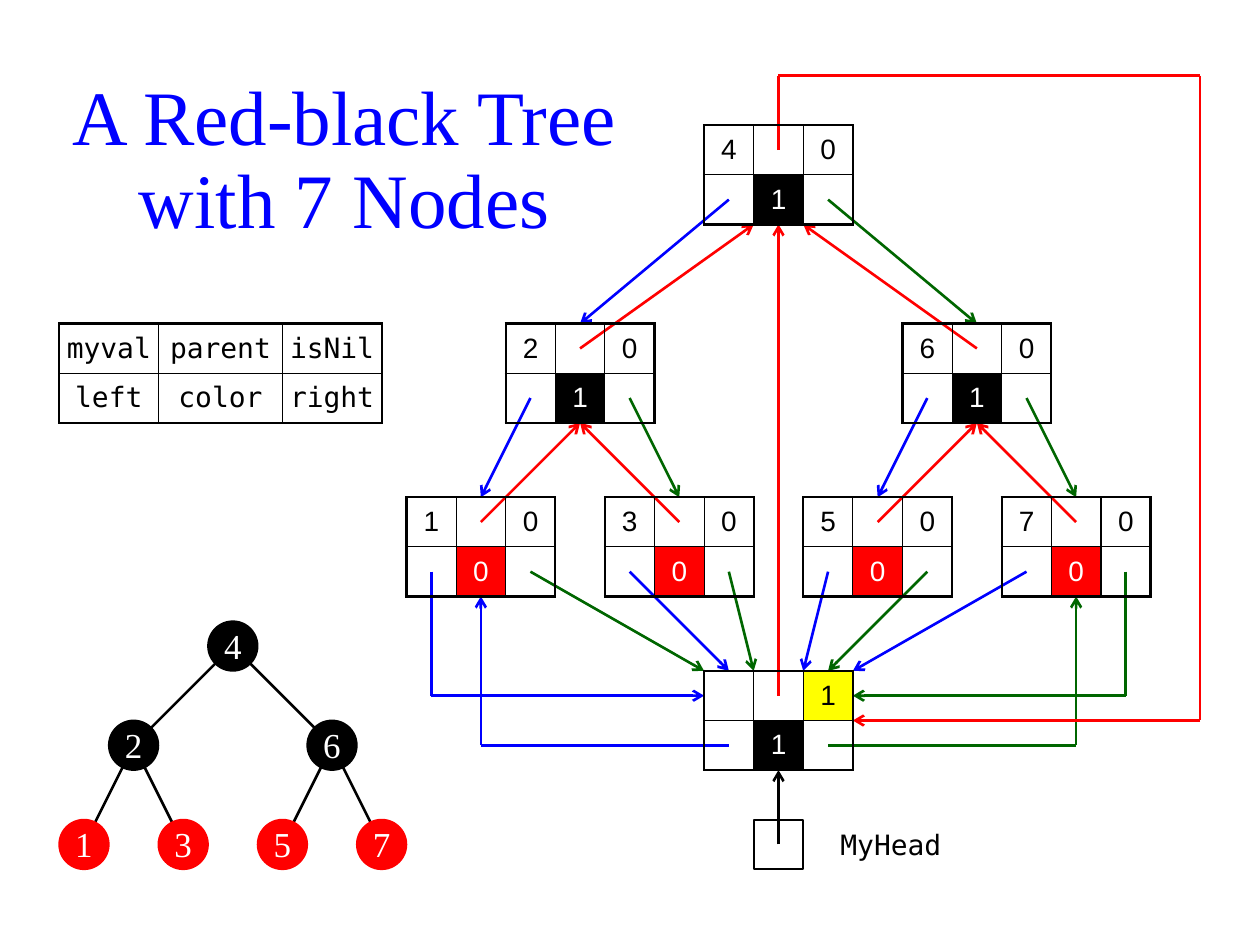
from dataclasses import dataclass
from itertools import pairwise
from typing import NamedTuple

from pptx import Presentation
from pptx.dml.color import RGBColor
from pptx.enum.shapes import MSO_CONNECTOR as Connector, MSO_SHAPE as Preset
from pptx.enum.text import MSO_ANCHOR as Anchor, MSO_AUTO_SIZE as AutoSize, PP_ALIGN as Align
from pptx.oxml.ns import qn
from pptx.oxml.xmlchemy import OxmlElement
from pptx.util import Cm, Emu, Inches, Pt


@dataclass(frozen=True)
class Theme:
    black: str = "000000"
    white: str = "FFFFFF"
    red: str = "FF0000"
    blue: str = "0000FF"
    green: str = "006600"
    yellow: str = "FFFF00"
    serif: str = "Times New Roman"
    sans: str = "Arial"
    mono: str = "DejaVu Sans Mono"
    title_size: float = 44
    circle_size: float = 20
    cell_size: float = 16
    thick: float = 1.5
    outline: float = 1
    thin: float = 0.75


class Point(NamedTuple):
    col: float
    row: float


class Node(NamedTuple):
    """A tree node: its record and its circle are placed by their top left corners."""
    value: str
    record: Point
    circle: Point
    is_red: bool = False
    children: tuple[str, ...] = ()


class Cell(NamedTuple):
    text: str = ""
    color: str = "000000"
    fill: str | None = None


THEME = Theme()
UNIT = Cm(1)
ORIGIN_X, ORIGIN_Y = Inches(0.47), Inches(0.6)

NODES = {node.value: node for node in (
    Node("4", Point(13, 1), Point(3, 11), children=("2", "6")),
    Node("2", Point(9, 5), Point(1, 13), children=("1", "3")),
    Node("6", Point(17, 5), Point(5, 13), children=("5", "7")),
    Node("1", Point(7, 8.5), Point(0, 15), is_red=True),
    Node("3", Point(11, 8.5), Point(2, 15), is_red=True),
    Node("5", Point(15, 8.5), Point(4, 15), is_red=True),
    Node("7", Point(19, 8.5), Point(6, 15), is_red=True),
)}
HEAD = Point(13, 12)

# Offsets inside a record of three columns and two rows
PARENT, LEFT, RIGHT = Point(1.5, 0.5), Point(0.5, 1.5), Point(2.5, 1.5)
TOP, BOTTOM = Point(1.5, 0), Point(1.5, 2)


def shift(start: Point, offset: Point) -> Point:
    return Point(start.col + offset.col, start.row + offset.row)


def place(point: Point) -> tuple[Emu, Emu]:
    """Turn grid columns and rows into slide lengths."""
    return Emu(round(ORIGIN_X + point.col * UNIT)), Emu(round(ORIGIN_Y + point.row * UNIT))


def span_of(*counts: float) -> list[Emu]:
    return [Emu(round(count * UNIT)) for count in counts]


def rgb(color: str) -> RGBColor:
    return RGBColor.from_string(color)


def write(frame, text: str, font: str, size: float, color: str, align=Align.CENTER):
    para = frame.paragraphs[0]
    para.alignment = align
    span = para.add_run()
    span.text = text
    span.font.name, span.font.size = font, Pt(size)
    span.font.color.rgb = rgb(color)
    return para


def draw_route(page, color: str, *stops: Point, arrow: bool = True) -> None:
    """Draw straight segments through the stops, with an arrowhead at the last one."""
    for start, end in pairwise(stops):
        line = page.shapes.add_connector(Connector.STRAIGHT, *place(start), *place(end))
        line.line.color.rgb = rgb(color)
        line.line.width = Pt(THEME.thick)
        properties = line.element.spPr
        if arrow and end == stops[-1]:
            tip = OxmlElement("a:tailEnd")
            tip.set("type", "arrow")
            properties.find(qn("a:ln")).append(tip)
        properties.append(OxmlElement("a:effectLst"))


def draw_shape(page, preset, corner: Point, fill: str, line: str):
    shape = page.shapes.add_shape(preset, *place(corner), *span_of(1, 1))
    shape.shadow.inherit = False
    shape.fill.solid()
    shape.fill.fore_color.rgb = rgb(fill)
    shape.line.color.rgb = rgb(line)
    shape.line.width = Pt(THEME.outline)
    return shape


def draw_circle(page, node: Node) -> None:
    color = THEME.red if node.is_red else THEME.black
    frame = draw_shape(page, Preset.OVAL, node.circle, color, color).text_frame
    frame.margin_left = frame.margin_right = frame.margin_top = 0
    frame.margin_bottom = Inches(0.01)
    frame.vertical_anchor = Anchor.MIDDLE
    write(frame, node.value, THEME.serif, THEME.circle_size, THEME.white)


def add_border(cell, side: str, width: float) -> None:
    line = OxmlElement(f"a:ln{side}")
    line.set("w", str(Pt(width)))
    fill, color = OxmlElement("a:solidFill"), OxmlElement("a:srgbClr")
    color.set("val", THEME.black)
    fill.append(color)
    line.append(fill)
    cell._tc.get_or_add_tcPr().append(line)


def draw_record(page, corner: Point, rows: list[list[Cell]], font: str, widths=(1, 1, 1)) -> None:
    size = span_of(sum(widths), len(rows))
    table = page.shapes.add_table(len(rows), len(widths), *place(corner), *size).table
    table.first_row = table.horz_banding = False
    for column, width in zip(table.columns, span_of(*widths)):
        column.width = width
    for r, row in enumerate(rows):
        table.rows[r].height = UNIT
        for c, content in enumerate(row):
            cell = table.cell(r, c)
            edges = {"L": c == 0, "R": c == len(widths) - 1, "T": r == 0, "B": r == len(rows) - 1}
            for side, is_outer in edges.items():
                add_border(cell, side, THEME.thick if is_outer else THEME.thin)
            cell.margin_left = cell.margin_right = cell.margin_top = cell.margin_bottom = 0
            cell.vertical_anchor = Anchor.MIDDLE
            if content.fill:
                cell.fill.solid()
                cell.fill.fore_color.rgb = rgb(content.fill)
            else:
                cell.fill.background()
            if content.text:
                write(cell.text_frame, content.text, font, THEME.cell_size, content.color)


def draw_title(page) -> None:
    title = page.shapes.title
    title.left, title.top = place(Point(0, 0))
    title.width, title.height = span_of(11.5, 3.5)
    frame = title.text_frame
    frame.word_wrap, frame.auto_size = True, AutoSize.NONE
    frame.vertical_anchor = Anchor.MIDDLE
    para = write(frame, "A Red-black Tree with 7 Nodes", THEME.serif, THEME.title_size, THEME.blue)
    para.line_spacing = 0.9


def draw_small_tree(page) -> None:
    center = Point(0.5, 0.5)
    for node in NODES.values():
        for child in node.children:
            ends = shift(node.circle, center), shift(NODES[child].circle, center)
            draw_route(page, THEME.black, *ends, arrow=False)
    for node in NODES.values():
        draw_circle(page, node)


def draw_family_links(page) -> None:
    for node in NODES.values():
        sides = zip(node.children, (LEFT, RIGHT), (THEME.blue, THEME.green), (-0.5, 0.5))
        for child, field, color, side in sides:
            record = NODES[child].record
            draw_route(page, color, shift(node.record, field), shift(record, TOP))
            landing = Point(BOTTOM.col + (side if node.value == "4" else 0), BOTTOM.row)
            draw_route(page, THEME.red, shift(record, PARENT), shift(node.record, landing))


def draw_head_links(page) -> None:
    root, first, last = (NODES[value].record for value in "417")
    landings = {"1": (None, 0), "3": (0.5, 1), "5": (2, 2.5), "7": (3, None)}
    for value, columns in landings.items():
        for column, field, color in zip(columns, (LEFT, RIGHT), (THEME.blue, THEME.green)):
            if column is not None:
                start = shift(NODES[value].record, field)
                draw_route(page, color, start, shift(HEAD, Point(column, 0)))
    ends = ((first, LEFT, 0, THEME.blue), (last, RIGHT, 3, THEME.green))
    for leaf, field, edge, color in ends:
        start, target = shift(leaf, field), shift(HEAD, Point(edge, 0.5))
        draw_route(page, color, start, Point(start.col, target.row), target)
        source, under_leaf = shift(HEAD, field), shift(leaf, BOTTOM)
        draw_route(page, color, source, Point(under_leaf.col, source.row), under_leaf)
    draw_route(page, THEME.red, shift(HEAD, PARENT), shift(root, BOTTOM))
    top, target = Point(14.5, 0), shift(HEAD, Point(3, 1))
    draw_route(page, THEME.red, shift(root, PARENT), top, Point(23, 0), Point(23, target.row), target)


def draw_head_pointer(page) -> None:
    draw_shape(page, Preset.RECTANGLE, Point(14, 15), THEME.white, THEME.black)
    draw_route(page, THEME.black, Point(14.5, 15.5), shift(HEAD, BOTTOM))
    box = page.shapes.add_textbox(*place(Point(15.5, 15)), *span_of(3, 1))
    box.text_frame.word_wrap = True
    box.text_frame.vertical_anchor = Anchor.MIDDLE
    write(box.text_frame, "MyHead", THEME.mono, THEME.cell_size, THEME.black, Align.LEFT)


def draw_records(page) -> None:
    blank = Cell()
    for node in NODES.values():
        mark = Cell("0", THEME.white, THEME.red) if node.is_red else Cell("1", THEME.white, THEME.black)
        rows = [[Cell(node.value), blank, Cell("0")], [blank, mark, blank]]
        draw_record(page, node.record, rows, THEME.sans)
    nil = Cell("1", fill=THEME.yellow)
    head_rows = [[blank, blank, nil], [blank, Cell("1", THEME.white, THEME.black), blank]]
    draw_record(page, HEAD, head_rows, THEME.sans)
    legend = [[Cell(name) for name in names.split()] for names in ("myval parent isNil", "left color right")]
    draw_record(page, Point(0, 5), legend, THEME.mono, (2, 2.5, 2))


def main() -> None:
    deck = Presentation()
    deck.slide_width, deck.slide_height = Inches(10), Inches(7.5)
    page = deck.slides.add_slide(deck.slide_layouts[5])
    for draw in (draw_title, draw_family_links, draw_head_links, draw_head_pointer,
                 draw_records, draw_small_tree):
        draw(page)
    deck.save("out.pptx")


if __name__ == "__main__":
    main()
